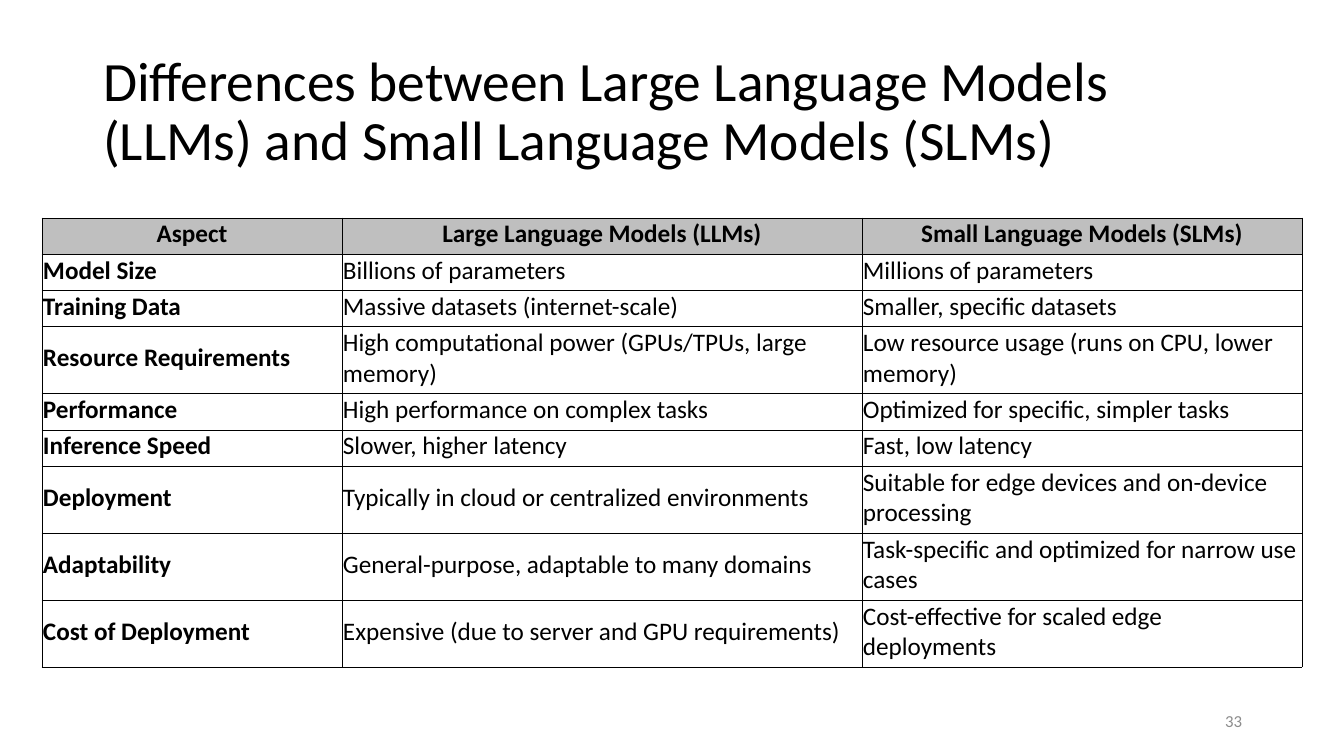
from lxml.etree import SubElement
from pptx import Presentation
from pptx.dml.color import RGBColor
from pptx.enum.text import MSO_ANCHOR, MSO_AUTO_SIZE, PP_ALIGN
from pptx.oxml.ns import qn
from pptx.util import Emu, Pt

BLACK = RGBColor(0x00, 0x00, 0x00)
GRAY = RGBColor(0x8C, 0x8C, 0x8C)
HEADER_FILL = RGBColor(0xBF, 0xBF, 0xBF)
PIXELS_PER_INCH = 100.8

TITLE = "Differences between Large Language Models (LLMs) and Small Language Models (SLMs)"
COLUMN_WIDTHS = [300, 520, 440]
SINGLE_LINE, DOUBLE_LINE = 36, 67
ROWS = [
    (SINGLE_LINE, "Aspect", "Large Language Models (LLMs)", "Small Language Models (SLMs)"),
    (SINGLE_LINE, "Model Size", "Billions of parameters", "Millions of parameters"),
    (SINGLE_LINE, "Training Data", "Massive datasets (internet-scale)", "Smaller, specific datasets"),
    (DOUBLE_LINE, "Resource Requirements", "High computational power (GPUs/TPUs, large memory)",
     "Low resource usage (runs on CPU, lower memory)"),
    (SINGLE_LINE, "Performance", "High performance on complex tasks",
     "Optimized for specific, simpler tasks"),
    (SINGLE_LINE, "Inference Speed", "Slower, higher latency", "Fast, low latency"),
    (DOUBLE_LINE, "Deployment", "Typically in cloud or centralized environments",
     "Suitable for edge devices and on-device processing"),
    (DOUBLE_LINE, "Adaptability", "General-purpose, adaptable to many domains",
     "Task-specific and optimized for narrow use cases"),
    (DOUBLE_LINE, "Cost of Deployment", "Expensive (due to server and GPU requirements)",
     "Cost-effective for scaled edge deployments"),
]


def px(length):
    return Emu(round(length * 914400 / PIXELS_PER_INCH))


def write_text(frame, text, font="Calibri", size=18, color=BLACK, bold=False,
               align=PP_ALIGN.LEFT, line_spacing=1.0):
    frame.word_wrap = True
    para = frame.paragraphs[0]
    para.alignment = align
    para.line_spacing = line_spacing
    span = para.add_run()
    span.text = text
    span.font.name = font
    span.font.size = Pt(size)
    span.font.bold = bold
    span.font.color.rgb = color


class SlideBuilder:
    def __init__(self, page, font="Calibri", border_color=BLACK, border_width=0.5):
        self.page = page
        self.font = font
        self.border_color = border_color
        self.border_width = border_width

    def title(self, text, left, top, width, height):
        box = self.page.shapes.title
        box.left, box.top, box.width, box.height = map(px, (left, top, width, height))
        frame = box.text_frame
        frame.auto_size = MSO_AUTO_SIZE.NONE
        frame.vertical_anchor = MSO_ANCHOR.MIDDLE
        write_text(frame, text, font=self.font, size=39.6, line_spacing=0.9)

    def page_number(self, text, left, top, width, height):
        box = self.page.shapes.add_textbox(*map(px, (left, top, width, height)))
        box.text_frame.vertical_anchor = MSO_ANCHOR.MIDDLE
        write_text(box.text_frame, text, font=self.font, size=12, color=GRAY,
                   align=PP_ALIGN.RIGHT)

    def table(self, rows, widths, left, top):
        height = sum(row[0] for row in rows)
        frame = self.page.shapes.add_table(
            len(rows), len(widths), px(left), px(top), px(sum(widths)), px(height))
        table = frame.table
        table.first_row = False
        table.horz_banding = False
        for column, width in zip(table.columns, widths):
            column.width = px(width)
        for row_index, (row_height, *texts) in enumerate(rows):
            table.rows[row_index].height = px(row_height)
            for column_index, text in enumerate(texts):
                self.cell(table.cell(row_index, column_index), text,
                          header=row_index == 0, bold=row_index == 0 or column_index == 0)

    def cell(self, cell, text, header, bold):
        cell.margin_left = cell.margin_right = cell.margin_top = px(1)
        cell.margin_bottom = px(5)
        cell.vertical_anchor = MSO_ANCHOR.MIDDLE
        if header:
            cell.fill.solid()
            cell.fill.fore_color.rgb = HEADER_FILL
        else:
            cell.fill.background()
        write_text(cell.text_frame, text, font=self.font, bold=bold,
                   align=PP_ALIGN.CENTER if header else PP_ALIGN.LEFT)
        self.borders(cell)

    def borders(self, cell):
        properties = cell._tc.get_or_add_tcPr()
        for position, side in enumerate(("a:lnL", "a:lnR", "a:lnT", "a:lnB")):
            line = SubElement(properties, qn(side), w=str(Pt(self.border_width)))
            fill = SubElement(line, qn("a:solidFill"))
            SubElement(fill, qn("a:srgbClr"), val=str(self.border_color))
            properties.insert(position, line)


def main():
    deck = Presentation()
    deck.slide_width, deck.slide_height = px(1344), px(756)
    page = deck.slides.add_slide(deck.slide_layouts.get_by_name("Title Only"))
    builder = SlideBuilder(page)
    builder.title(TITLE, 93, 40, 1159, 146)
    builder.page_number("33", 950, 701, 302, 40)
    builder.table(ROWS, COLUMN_WIDTHS, 42, 218)
    deck.save("out.pptx")


if __name__ == "__main__":
    main()
